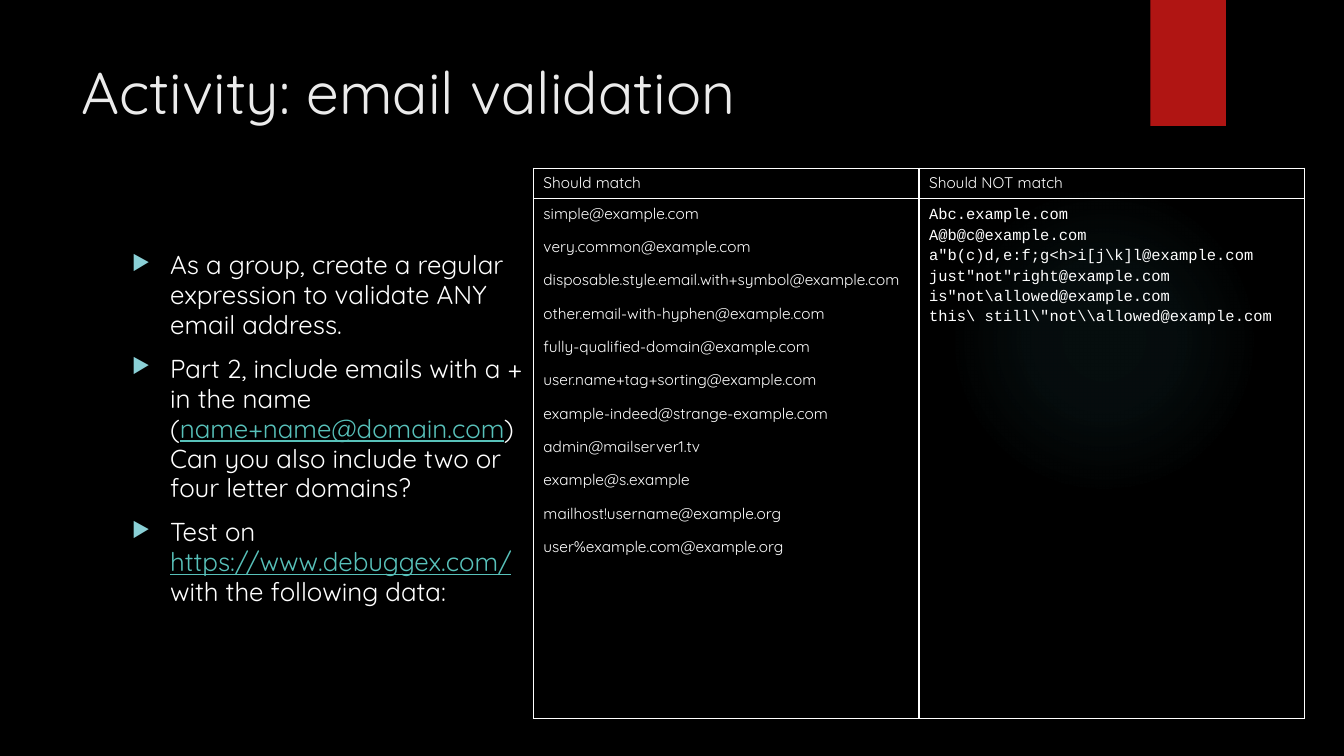
from pptx import Presentation
from pptx.dml.color import RGBColor
from pptx.enum.shapes import MSO_SHAPE as Shape
from pptx.enum.text import MSO_ANCHOR as Anchor
from pptx.oxml import parse_xml
from pptx.oxml.ns import nsdecls
from pptx.util import Inches, Pt

BLACK = RGBColor(0x00, 0x00, 0x00)
WHITE = RGBColor(0xFF, 0xFF, 0xFF)
TITLE_GREY = RGBColor(0xEB, 0xEB, 0xEB)
RED = RGBColor(0xB0, 0x15, 0x13)
LINK_TEAL = RGBColor(0x58, 0xC1, 0xBA)
BULLET_BLUE = RGBColor(0x8A, 0xD0, 0xD6)
GLOW_TEAL = RGBColor(0x50, 0xB9, 0xC1)

TITLE_FONT = {"name": "Quicksand", "size": Pt(42), "color": TITLE_GREY}
BODY_FONT = {"name": "Quicksand", "size": Pt(18.5), "color": WHITE}
LINK_FONT = {**BODY_FONT, "color": LINK_TEAL, "underline": True}
CELL_FONT = {"name": "Quicksand", "size": Pt(11), "color": WHITE}
CODE_FONT = {**CELL_FONT, "name": "Courier New"}

# Each task is a list of pieces; every second piece is shown as a link.
TASKS = [
    ["As a group, create a regular expression to validate ANY email address."],
    ["Part 2, include emails with a + in the name (", "name+name@domain.com",
     ") Can you also include two or four letter domains?"],
    ["Test on ", "https://www.debuggex.com/", " with the following data:"],
]
VALID_EMAILS = [
    "simple@example.com",
    "very.common@example.com",
    "disposable.style.email.with+symbol@example.com",
    "other.email-with-hyphen@example.com",
    "fully-qualified-domain@example.com",
    "user.name+tag+sorting@example.com",
    "example-indeed@strange-example.com",
    "admin@mailserver1.tv",
    "example@s.example",
    "mailhost!username@example.org",
    "user%example.com@example.org",
]
INVALID_EMAILS = [
    "Abc.example.com",
    "A@b@c@example.com",
    'a"b(c)d,e:f;g<h>i[j\\k]l@example.com',
    'just"not"right@example.com',
    'is"not\\allowed@example.com',
    'this\\ still\\"not\\\\allowed@example.com',
]


def add_run(paragraph, text, style):
    run = paragraph.add_run()
    run.text = text
    for attribute, value in style.items():
        if attribute == "color":
            run.font.color.rgb = value
        else:
            setattr(run.font, attribute, value)


def paragraphs(frame, count):
    """Yield count paragraphs, starting with the one the frame already has."""
    yield frame.paragraphs[0]
    for _ in range(count - 1):
        yield frame.add_paragraph()


def add_text_frame(slide, box):
    frame = slide.shapes.add_textbox(*map(Inches, box)).text_frame
    frame.word_wrap = True
    frame.vertical_anchor = Anchor.TOP
    return frame


def add_plain_shape(slide, kind, box):
    shape = slide.shapes.add_shape(kind, *map(Inches, box))
    shape.shadow.inherit = False
    shape.line.fill.background()
    return shape


def add_glow(slide, box):
    """Faint circle that fades out towards its rim."""
    glow = add_plain_shape(slide, Shape.OVAL, box)
    glow.fill.background()
    stops = "".join(
        f'<a:gs pos="{position * 1000}"><a:srgbClr val="{GLOW_TEAL}">'
        f'<a:alpha val="{alpha * 1000}"/></a:srgbClr></a:gs>'
        for position, alpha in [(0, 7), (36, 6), (69, 0), (100, 0)])
    gradient = parse_xml(
        f'<a:gradFill {nsdecls("a")} rotWithShape="1"><a:gsLst>{stops}</a:gsLst>'
        '<a:path path="circle"><a:fillToRect l="50000" t="50000" r="50000" '
        'b="50000"/></a:path></a:gradFill>')
    properties = glow.element.spPr
    properties.replace(properties.find("{*}noFill"), gradient)


def add_red_tab(slide, box):
    tab = add_plain_shape(slide, Shape.RECTANGLE, box)
    tab.fill.solid()
    tab.fill.fore_color.rgb = RED


def add_title(slide, box):
    frame = add_text_frame(slide, box)
    add_run(frame.paragraphs[0], "Activity: email validation", TITLE_FONT)


def add_bullet(paragraph):
    properties = paragraph._p.get_or_add_pPr()
    properties.set("marL", str(Inches(0.38)))
    properties.set("indent", str(-Inches(0.38)))
    for xml in (f'<a:buClr {nsdecls("a")}><a:srgbClr val="{BULLET_BLUE}"/></a:buClr>',
                f'<a:buSzPct {nsdecls("a")} val="80000"/>',
                f'<a:buChar {nsdecls("a")} char="▶"/>'):
        properties.append(parse_xml(xml))


def add_tasks(slide, box):
    frame = add_text_frame(slide, box)
    for number, paragraph in enumerate(paragraphs(frame, len(TASKS))):
        add_bullet(paragraph)
        paragraph.line_spacing = 0.96
        if number:
            paragraph.space_before = Pt(10)
        for position, piece in enumerate(TASKS[number]):
            add_run(paragraph, piece, LINK_FONT if position % 2 else BODY_FONT)


def outline_cell(cell):
    cell.fill.background()
    properties = cell._tc.get_or_add_tcPr()
    for position, side in enumerate("LRTB"):
        properties.insert(position, parse_xml(
            f'<a:ln{side} {nsdecls("a")} w="{Pt(1)}"><a:solidFill>'
            f'<a:srgbClr val="{WHITE}"/></a:solidFill></a:ln{side}>'))


def fill_cell(cell, lines, style, gap=0):
    outline_cell(cell)
    for number, paragraph in enumerate(paragraphs(cell.text_frame, len(lines))):
        if number:
            paragraph.space_before = Pt(gap)
        add_run(paragraph, lines[number], style)


def add_email_table(slide, box):
    left, top, width, height = map(Inches, box)
    table = slide.shapes.add_table(2, 2, left, top, width, height).table
    table.first_row = table.horz_banding = False
    table.rows[0].height = Inches(0.3)
    table.rows[1].height = height - Inches(0.3)
    fill_cell(table.cell(0, 0), ["Should match"], CELL_FONT)
    fill_cell(table.cell(0, 1), ["Should NOT match"], CELL_FONT)
    fill_cell(table.cell(1, 0), VALID_EMAILS, CELL_FONT, gap=10)
    fill_cell(table.cell(1, 1), INVALID_EMAILS, CODE_FONT, gap=2)
    table.cell(1, 1).margin_top = Inches(0.08)


def main():
    deck = Presentation()
    deck.slide_width, deck.slide_height = Inches(13.33), Inches(7.5)
    slide = deck.slides.add_slide(deck.slide_layouts[6])
    slide.background.fill.solid()
    slide.background.fill.fore_color.rgb = BLACK
    add_glow(slide, (9.41, 1.83, 3.08, 3.08))
    add_red_tab(slide, (11.41, 0, 0.75, 1.25))
    add_title(slide, (0.71, 0.5, 10.29, 1.53))
    add_tasks(slide, (1.21, 2.44, 4.1, 4.4))
    add_email_table(slide, (5.29, 1.67, 7.65, 5.46))
    deck.save("out.pptx")


if __name__ == "__main__":
    main()
